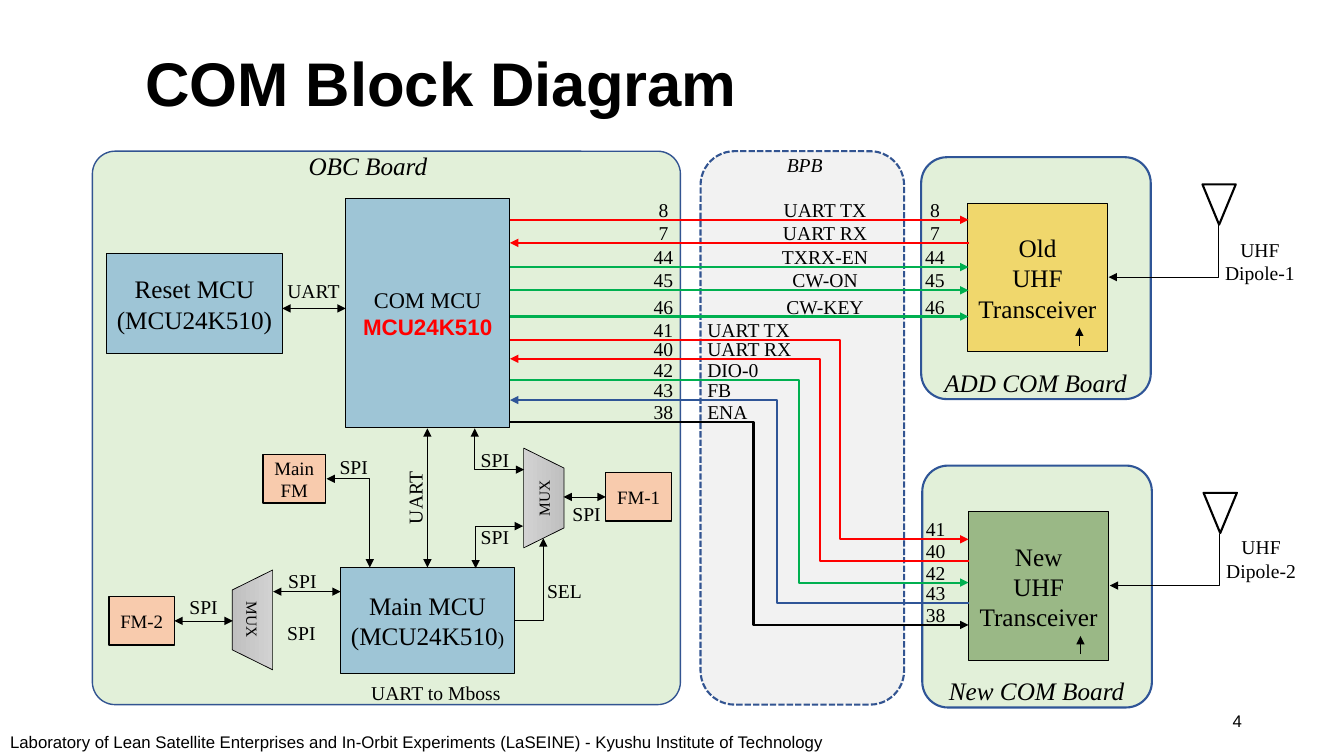
from lxml import etree
from pptx import Presentation
from pptx import util as u
from pptx.dml.color import RGBColor
from pptx.enum import dml, shapes, text
from pptx.oxml import ns

BLACK = RGBColor(0x00, 0x00, 0x00)
RED = RGBColor(0xFF, 0x00, 0x00)
GREEN = RGBColor(0x00, 0xB0, 0x50)
BLUE = RGBColor(0x2F, 0x55, 0x97)
NAVY = RGBColor(0x32, 0x54, 0x91)
BOARD = RGBColor(0xE2, 0xF0, 0xD9)
BACKPLANE = RGBColor(0xF2, 0xF2, 0xF2)
CONTROLLER = RGBColor(0x5B, 0x9B, 0xD5)
GOLD = RGBColor(0xFF, 0xC0, 0x00)
OLIVE = RGBColor(0x54, 0x82, 0x35)
MEMORY = RGBColor(0xF8, 0xCB, 0xAD)
MUX_STOPS = (RGBColor(0xD2, 0xD2, 0xD2), RGBColor(0xC0, 0xC0, 0xC0))

SERIF, SANS = "Times New Roman", "Arial"
CENTER, LEFT, RIGHT = text.PP_ALIGN.CENTER, text.PP_ALIGN.LEFT, text.PP_ALIGN.RIGHT
MIDDLE = text.MSO_ANCHOR.MIDDLE
KIND = shapes.MSO_SHAPE
INSETS = ("margin_left", "margin_top", "margin_right", "margin_bottom")
PART = "MCU24K510"


def apply(target, values):
    for name, value in values.items():
        setattr(target, name, value)


def points(*values):
    return [u.Pt(value) for value in values]


def inside(box, left, top, *size):
    return (box[0] + left, box[1] + top, *size)


def write(shape, paragraphs, size, name=SERIF, align=CENTER, insets=(7.2, 3.6, 7.2, 3.6), **style):
    frame = shape.text_frame
    apply(frame, dict(zip(INSETS, points(*insets))))
    for index, spans in enumerate(paragraphs):
        para = frame.paragraphs[0] if index == 0 else frame.add_paragraph()
        para.alignment = align
        if isinstance(spans, str):
            spans = [(spans, {}, BLACK)]
        for words, changes, color in spans:
            span = para.add_run()
            span.text = words
            apply(span.font, {"size": u.Pt(size), "name": name, **style, **changes})
            span.font.color.rgb = color
    return frame


def text_box(page, box, paragraphs, size, wrap=True, anchor=text.MSO_ANCHOR.TOP, **style):
    shape = page.shapes.add_textbox(*points(*box))
    frame = write(shape, paragraphs, size, **style)
    apply(frame, {"word_wrap": wrap, "vertical_anchor": anchor})
    return shape


def label(page, center, top, *lines, size=14, width=90, **style):
    box = (center - width / 2, top, width, 24.5 * len(lines))
    return text_box(page, box, lines, size, wrap=False, **style)


def caption(page, center, top, words, size=18, italic=True):
    label(page, center, top, words, size=size, width=160, italic=italic)


def block(page, kind, box, fill, line, weight, alpha=None, corner=None):
    shape = page.shapes.add_shape(kind, *points(*box))
    shape.shadow.inherit = False
    if fill is None:
        shape.fill.background()
    else:
        shape.fill.solid()
        shape.fill.fore_color.rgb = fill
    if alpha:
        color = shape.fill._xPr.find(".//" + ns.qn("a:srgbClr"))
        etree.SubElement(color, ns.qn("a:alpha"), val=str(alpha * 1000))
    if corner is not None:
        shape.adjustments[0] = corner
    shape.line.color.rgb = line
    shape.line.width = u.Pt(weight)
    return shape


def chip(page, box, fill, paragraphs, size=18, weight=0.75, alpha=50):
    shape = block(page, KIND.RECTANGLE, box, fill, BLACK, weight, alpha)
    frame = write(shape, paragraphs, size, insets=(5.04, 2.88, 5.04, 2.88))
    apply(frame, {"word_wrap": True, "vertical_anchor": MIDDLE})


def mux(page, box, turn):
    shape = block(page, KIND.FLOWCHART_MANUAL_OPERATION, box, BLACK, BLACK, 0.5)
    shape.fill.gradient()
    shape.fill.gradient_angle = 270
    for stop, color in zip(shape.fill.gradient_stops, MUX_STOPS):
        stop.color.rgb = color
    shape.rotation = turn
    frame = write(shape, ["MUX"], 11, insets=(0, 0, 0, 0))
    apply(frame, {"word_wrap": False, "vertical_anchor": MIDDLE})


def wire(page, start, end, ends=("head", "tail"), color=BLACK, weight=0.5, corner=False, via=None):
    bent = corner or via is not None
    kind = shapes.MSO_CONNECTOR.ELBOW if bent else shapes.MSO_CONNECTOR.STRAIGHT
    line = page.shapes.add_connector(kind, *points(*start, *end))
    line.line.color.rgb = color
    line.line.width = u.Pt(weight)
    outline = line.line._get_or_add_ln()
    for name in ends:
        etree.SubElement(outline, ns.qn(f"a:{name}End"), type="triangle")
    properties = line._element.spPr
    etree.SubElement(properties, ns.qn("a:effectLst"))
    geometry = properties.find(ns.qn("a:prstGeom"))
    if corner:
        geometry.set("prst", "bentConnector2")
    if via is not None:
        share = round((via - start[0]) / (end[0] - start[0]) * 100000)
        guides = geometry.find(ns.qn("a:avLst"))
        etree.SubElement(guides, ns.qn("a:gd"), name="adj1", fmla=f"val {share}")


def backplane(page, box):
    shape = block(page, KIND.ROUNDED_RECTANGLE, box, BACKPLANE, NAVY, 1.5)
    shape.line.dash_style = dml.MSO_LINE.SQUARE_DOT
    caption(page, *inside(box, 74.5, -2.2), "BPB", size=14)


def obc_board(page, box):
    block(page, KIND.ROUNDED_RECTANGLE, box, BOARD, NAVY, 1, corner=0.041)
    caption(page, *inside(box, 196.8, -4.3), "OBC Board")
    part = [(PART, {"name": SANS, "bold": True}, RED)]
    chip(page, inside(box, 181, 34, 117, 163.5), CONTROLLER, ["COM MCU", part], size=16)
    part = [(f"({PART}", {}, BLACK), (")", {"size": u.Pt(13.5)}, BLACK)]
    chip(page, inside(box, 177.4, 297.4, 124, 75.6), CONTROLLER, ["Main MCU", part])
    chip(page, inside(box, 10.3, 73.4, 125.3, 71.3), CONTROLLER, ["Reset MCU", f"({PART})"])
    for left, top, width, lines in (
        (366.7, 229.7, 46.8, ["FM-1"]),
        (121.9, 216.7, 44.6, ["Main", "FM"]),
        (11.8, 318.2, 46.8, ["FM-2"]),
    ):
        chip(page, inside(box, left, top, width, 34.6), MEMORY, lines, 13.5, 1, None)
    mux(page, inside(box, 286.8, 233.3, 71.3, 28.8), 270)
    mux(page, inside(box, 78.7, 320.4, 71.3, 28.8), 90)
    for start, end, corner in (
        ((239.3, 297.4), (239.3, 198), False),
        ((366.7, 247), (336.5, 247), False),
        ((100.3, 335.5), (58.6, 335.5), False),
        ((177.4, 314.6), (129.1, 314.6), False),
        ((135.6, 112.3), (181, 112.3), False),
        ((308.4, 227.5), (273.1, 198), True),
        ((307.7, 267.8), (273.8, 298), True),
        ((167.3, 234), (198.2, 297.4), True),
    ):
        wire(page, inside(box, *start), inside(box, *end), corner=corner)
    wire(page, inside(box, 301.2, 335.5), inside(box, 322.1, 276.5), ["tail"], corner=True)
    for center, top in ((287.5, 208.1), (287.5, 263.5), (353, 247), (186.7, 213.1),
                        (79.4, 313.2), (150, 294.5), (149.3, 331.9)):
        label(page, *inside(box, center, top), "SPI")
    label(page, *inside(box, 157.9, 87.8), "UART")
    label(page, *inside(box, 337.2, 301.7), "SEL")
    caption(page, *inside(box, 245.4, 375.1), "UART to Mboss", size=14, italic=False)
    label(page, *inside(box, 230.6, 235.4), "UART").rotation = 270


def radio_board(page, box, age, fill, name, dipole, dipole_top):
    block(page, KIND.ROUNDED_RECTANGLE, box, BOARD, BLUE, 1.5, corner=0.112)
    chip(page, inside(box, 33.1, 33.1, 100, 106), fill, [age, "UHF Transceiver"])
    antenna = inside(box, 200.9, 19.4, 23.8, 28.8)
    block(page, KIND.ISOSCELES_TRIANGLE, antenna, None, BLACK, 1.5).rotation = 180
    wire(page, inside(box, 133.9, 85.7), inside(box, 212.4, 48.6), ["head"], corner=True)
    wire(page, inside(box, 113, 134.7), inside(box, 113, 121.7), ["tail"])
    caption(page, *inside(box, 81.7, 146.2), name)
    label(page, *inside(box, 242, dipole_top), "UHF", dipole)


def signal_lines(page, box):
    width, lift = box[2], 19.3
    for pin, signal, y, color, end in (
        ("8", "UART TX", 49, RED, "tail"),
        ("7", "UART RX", 65.5, RED, "head"),
        ("44", "TXRX-EN", 82.8, GREEN, "tail"),
        ("45", "CW-ON", 99.4, GREEN, "tail"),
        ("46", "CW-KEY", 118.1, GREEN, "tail"),
    ):
        wire(page, inside(box, 0, y), inside(box, width, y), [end], color, 1.5)
        for center, words in ((109.6, pin), (225, signal), (303.5, pin)):
            label(page, *inside(box, center, y - lift), words)
    for pin, signal, y, end_y, via, color, end in (
        ("41", "UART TX", 134.6, 277.2, 235.8, RED, "tail"),
        ("40", "UART RX", 148.3, 293, 221.4, RED, "head"),
        ("42", "DIO-0", 163.4, 308.2, 206.2, GREEN, "tail"),
        ("43", "FB", 177.8, 322.6, 191, BLUE, "head"),
        ("38", "ENA", 193.7, 338.4, 173.8, BLACK, "tail"),
    ):
        wire(page, inside(box, 0, y), inside(box, width, end_y), [end], color, 1.5, via=box[0] + via)
        label(page, *inside(box, 109.6, y - lift), pin)
        label(page, *inside(box, 304, end_y - lift), pin)
        text_box(page, inside(box, 133.8, y - lift, 90, 24.5), [signal], 14, align=LEFT)


def page_texts(page, box):
    title = text_box(page, inside(box, 96.5, 31.7, 779, 59.8), ["COM Block Diagram"], 44,
                     anchor=MIDDLE, name=SANS, align=LEFT, bold=True)
    title.text_frame.paragraphs[0].line_spacing = 0.9
    lab = ("Laboratory of Lean Satellite Enterprises and In-Orbit Experiments (LaSEINE) - "
           "Kyushu Institute of Technology")
    text_box(page, inside(box, 7.2, 520.6, 620, 16.6), [lab], 12,
             name=SANS, align=LEFT, insets=(0, 2, 0, 0))
    text_box(page, inside(box, 678.2, 500.4, 216, 28.8), ["4"], 12,
             anchor=MIDDLE, name=SANS, align=RIGHT)


def main():
    deck = Presentation()
    deck.slide_width, deck.slide_height = points(960, 540)
    page = deck.slides.add_slide(deck.slide_layouts[6])
    page_texts(page, (0, 0, 960, 540))
    backplane(page, (500.4, 108, 145.4, 395.3))
    obc_board(page, (66, 108, 420, 395.3))
    radio_board(page, (658, 112.3, 164, 172.8), "Old", GOLD, "ADD COM Board", "Dipole-1", 54)
    radio_board(page, (658.8, 332.6, 164, 172.8), "New", OLIVE, "New COM Board", "Dipole-2", 46)
    signal_lines(page, (364.3, 108, 327.5, 395.3))
    deck.save("out.pptx")


if __name__ == "__main__":
    main()
